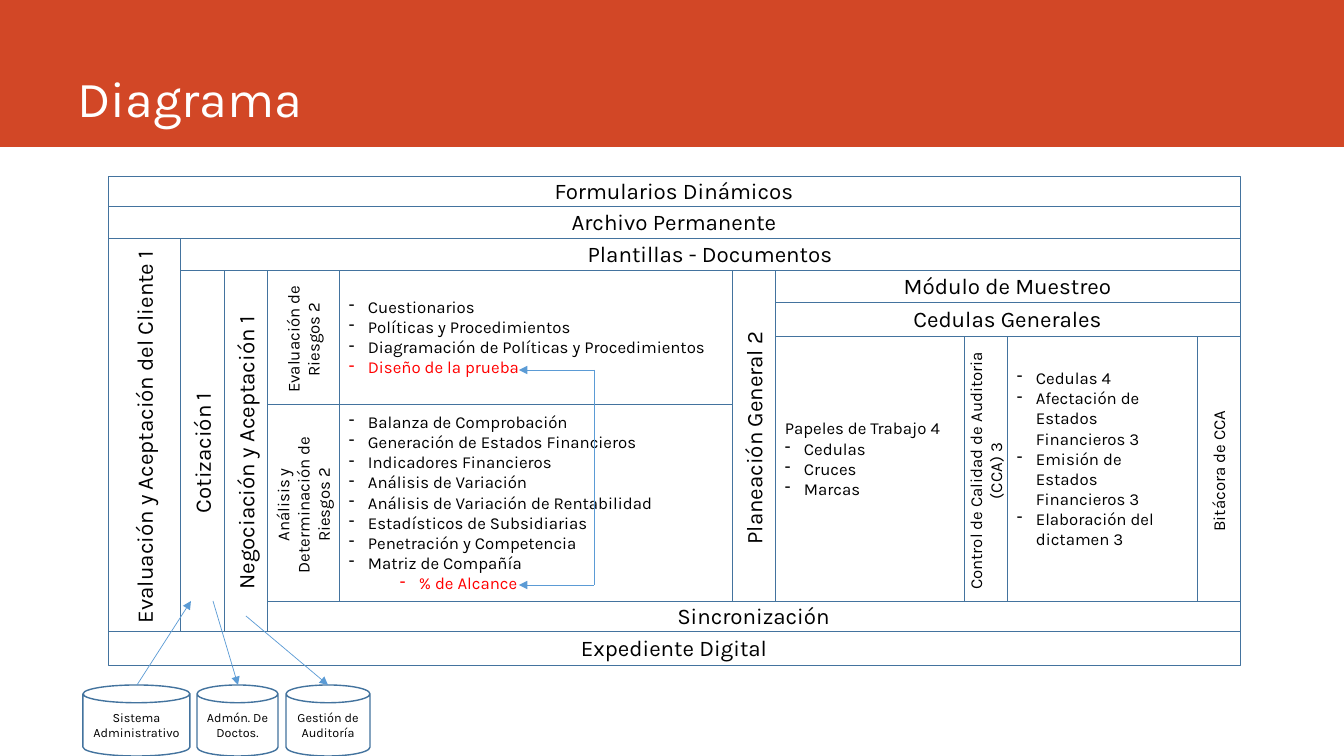
from typing import NamedTuple

from lxml.etree import SubElement
from pptx import Presentation
from pptx.dml.color import RGBColor
from pptx.enum.shapes import MSO_CONNECTOR, MSO_SHAPE as Preset
from pptx.enum.text import MSO_ANCHOR as Anchor, PP_ALIGN as Align
from pptx.oxml.ns import qn
from pptx.util import Pt

SCALE = 914400 / 100.8
FONT = "Karla"
BLACK, WHITE, RED = "000000", "FFFFFF", "FF0000"
BANNER, BORDER, ARROW = "D24726", "43739E", "5B9BD5"
HANGING = 19


class Item(NamedTuple):
    """One line of a list; an indent of 0 leaves out the dash."""
    text: str
    indent: int = HANGING
    color: str = BLACK


# text, left, top, right, bottom
BANDS = [
    ("Formularios Dinámicos", 108, 176, 1240, 206),
    ("Archivo Permanente", 108, 206, 1240, 238),
    ("Plantillas - Documentos", 180, 238, 1240, 270),
    ("Módulo de Muestreo", 775, 270, 1240, 302),
    ("Cedulas Generales", 775, 302, 1240, 336),
    ("Sincronización", 267, 601, 1240, 631),
    ("Expediente Digital", 108, 631, 1240, 665),
]
# text, left, top, right, bottom, text size
COLUMNS = [
    ("Evaluación y Aceptación del Cliente 1", 108, 238, 180, 631, 16),
    ("Cotización 1", 180, 270, 224, 631, 16),
    ("Negociación y Aceptación 1", 224, 270, 267, 631, 16),
    ("Evaluación de Riesgos 2", 267, 270, 339, 404, 12),
    ("Análisis y Determinación de Riesgos 2", 267, 404, 339, 601, 12),
    ("Planeación General 2", 732, 270, 775, 601, 16),
    ("Control de Calidad de Auditoria (CCA) 3", 964, 336, 1007, 601, 12),
    ("Bitácora de CCA", 1197, 336, 1240, 601, 12),
]
# items, left, top, right, bottom, bottom inset
LISTS = [
    ([Item("Cuestionarios"), Item("Políticas y Procedimientos"),
      Item("Diagramación de Políticas y Procedimientos"),
      Item("Diseño de la prueba", color=RED)], 339, 270, 732, 404, 5),
    ([Item("Balanza de Comprobación"), Item("Generación de Estados Financieros"),
      Item("Indicadores Financieros"), Item("Análisis de Variación"),
      Item("Análisis de Variación de Rentabilidad"),
      Item("Estadísticos de Subsidiarias"), Item("Penetración y Competencia"),
      Item("Matriz de Compañía"),
      Item("% de Alcance", 70, RED)], 339, 404, 732, 601, 5),
    ([Item("Papeles de Trabajo 4", 0), Item("Cedulas"), Item("Cruces"),
      Item("Marcas")], 775, 336, 964, 601, 25),
    ([Item("Cedulas 4"), Item("Afectación de Estados Financieros 3"),
      Item("Emisión de Estados Financieros 3"),
      Item("Elaboración del dictamen 3")], 1007, 336, 1197, 601, 25),
]
# text, left, right
SYSTEMS = [
    ("Sistema Administrativo", 83, 190),
    ("Admón. De Doctos.", 197, 278),
    ("Gestión de Auditoría", 286, 370),
]
# start, end, has arrowhead
LINKS = [
    ((594, 370), (519, 370), True),
    ((594, 585), (519, 585), True),
    ((594, 370), (594, 585), False),
    ((137, 685), (191, 601), True),
    ((213, 601), (238, 685), True),
    ((246, 616), (328, 685), True),
]


def px(length):
    """Turn pixels into EMU."""
    return round(length * SCALE)


def rgb(color):
    """Turn a hex string into a colour."""
    return RGBColor.from_string(color)


def write(frame, items, size=12, align=Align.LEFT, anchor=Anchor.MIDDLE,
          vertical=False, bottom=5):
    """Fill a text frame with items, one paragraph each."""
    frame.word_wrap = True
    frame.vertical_anchor = anchor
    frame.margin_bottom = px(bottom)
    if vertical:
        frame._txBody.bodyPr.set("vert", "vert270")
    for index, item in enumerate(items):
        paragraph = frame.add_paragraph() if index else frame.paragraphs[0]
        paragraph.alignment = align
        if item.indent:
            props = paragraph._p.get_or_add_pPr()
            props.set("marL", str(px(item.indent)))
            props.set("indent", str(-px(HANGING)))
            SubElement(props, qn("a:buChar")).set("char", "-")
        run = paragraph.add_run()
        run.text = item.text
        run.font.name = FONT
        run.font.size = Pt(size)
        run.font.color.rgb = rgb(item.color)


def add_box(slide, left, top, right, bottom, preset=Preset.RECTANGLE, weight=0.5):
    """Draw an outlined shape without fill."""
    box = slide.shapes.add_shape(preset, px(left), px(top),
                                 px(right - left), px(bottom - top))
    box.shadow.inherit = False
    box.fill.background()
    box.line.color.rgb = rgb(BORDER)
    box.line.width = Pt(weight)
    return box


def add_label(slide, text, edges, size, preset=Preset.RECTANGLE, weight=0.5,
              vertical=False):
    """Draw a shape with one centred text."""
    box = add_box(slide, *edges, preset=preset, weight=weight)
    write(box.text_frame, [Item(text, 0)], size=size, align=Align.CENTER,
          vertical=vertical)


def add_link(slide, start, end, arrowhead):
    """Draw a thin line, with an arrowhead at its end if wanted."""
    link = slide.shapes.add_connector(MSO_CONNECTOR.STRAIGHT,
                                      *map(px, start + end))
    link.line.color.rgb = rgb(ARROW)
    link.line.width = Pt(0.5)
    if arrowhead:
        SubElement(link.line._get_or_add_ln(), qn("a:tailEnd")).set("type", "triangle")
    SubElement(link._element.spPr, qn("a:effectLst"))


def add_heading(slide, text):
    """Put the title on a banner that lies behind it."""
    banner = slide.shapes.add_shape(Preset.RECTANGLE, 0, 0, px(1344), px(147))
    banner.shadow.inherit = False
    banner.fill.solid()
    banner.fill.fore_color.rgb = rgb(BANNER)
    banner.line.fill.background()
    slide.shapes._spTree.insert(2, banner._element)
    title = slide.shapes.title
    title.left, title.top, title.width, title.height = map(px, (67, 0, 1185, 133))
    write(title.text_frame, [Item(text, 0, WHITE)], size=36, anchor=Anchor.BOTTOM)


def main():
    """Build the slide and save it."""
    deck = Presentation()
    deck.slide_width, deck.slide_height = px(1344), px(756)
    slide = deck.slides.add_slide(deck.slide_layouts[5])
    add_heading(slide, "Diagrama")
    for text, *edges in BANDS:
        add_label(slide, text, edges, 16)
    for text, *edges, size in COLUMNS:
        add_label(slide, text, edges, size, vertical=True)
    for items, *edges, inset in LISTS:
        write(add_box(slide, *edges).text_frame, items, bottom=inset)
    for text, left, right in SYSTEMS:
        add_label(slide, text, (left, 685, right, 756), 9, Preset.CAN, 1)
    for start, end, arrowhead in LINKS:
        add_link(slide, start, end, arrowhead)
    deck.save("out.pptx")


main()
